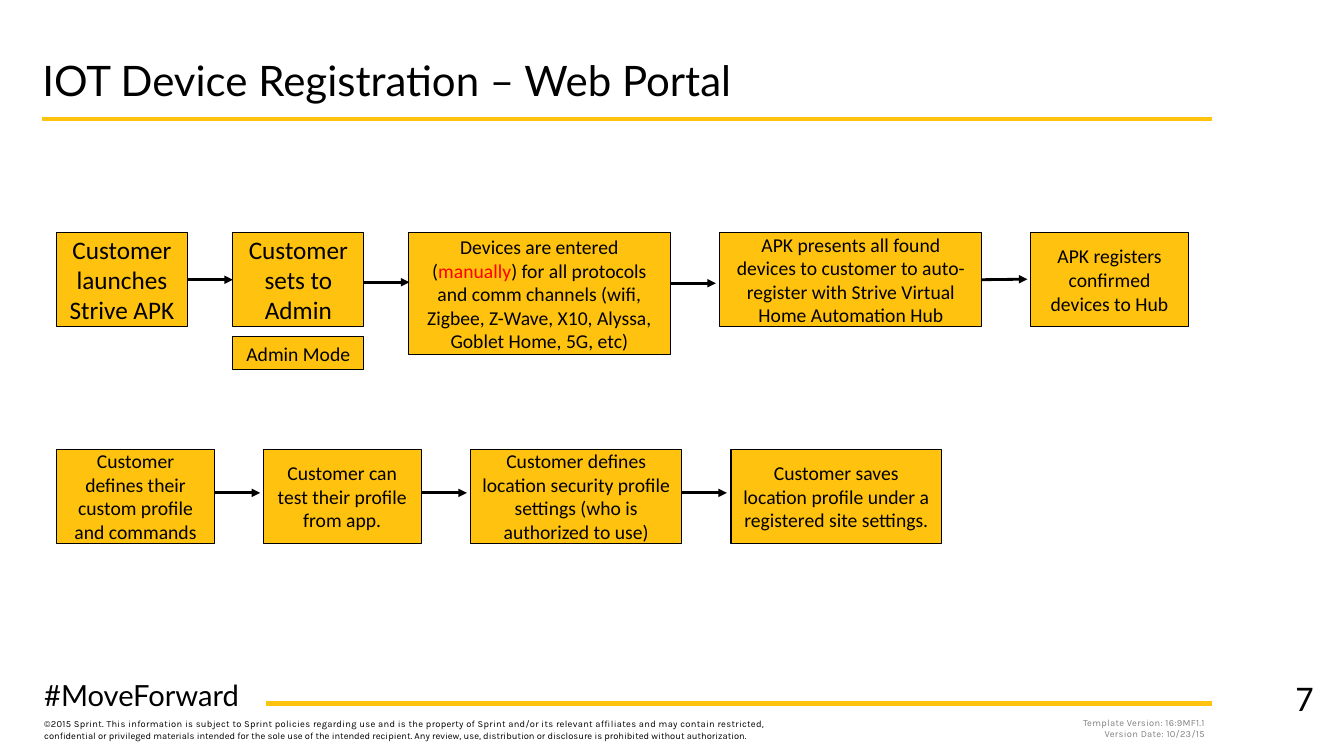
import pptx
import pptx.util
import pptx.dml.color
import pptx.enum.shapes
import pptx.enum.text
import pptx.oxml
import pptx.oxml.ns

PX = 9144
COLORS = {"gold": "FFC20E", "black": "000000", "red": "FF0000", "gray": "808080"}
ALIGN = pptx.enum.text.PP_ALIGN
ANCHOR = pptx.enum.text.MSO_ANCHOR
RECT = pptx.enum.shapes.MSO_SHAPE.RECTANGLE
STRAIGHT = pptx.enum.shapes.MSO_CONNECTOR.STRAIGHT
LEFT_SIDE, RIGHT_SIDE = 1, 3
ARROW_LENGTH = 45


def rgb(name):
    """Return the named palette colour."""
    return pptx.dml.color.RGBColor.from_string(COLORS[name])


def write(tf, paragraphs, size, font, align=ALIGN.LEFT, anchor=ANCHOR.TOP, margins=(10, 5)):
    """Fill a text frame with paragraphs of (text, colour, spacing) runs."""
    tf.word_wrap = True
    tf.vertical_anchor = anchor
    tf.margin_left = tf.margin_right = margins[0] * PX
    tf.margin_top = tf.margin_bottom = margins[1] * PX
    for i, runs in enumerate(paragraphs):
        p = tf.add_paragraph() if i else tf.paragraphs[0]
        p.alignment = align
        for text, color, spacing in runs:
            r = p.add_run()
            r.text = text
            r.font.size = pptx.util.Pt(size)
            r.font.name = font
            r.font.color.rgb = rgb(color)
            if spacing:
                r.font._element.set("spc", str(spacing))


def add_text(slide, box, paragraphs, size, font, **layout):
    """Add a text box at the given px box."""
    sp = slide.shapes.add_textbox(*(v * PX for v in box))
    write(sp.text_frame, paragraphs, size, font, **layout)


def add_line(slide, start, end, color, width, arrow=False):
    """Add a straight line, with an arrowhead at its end if asked."""
    cxn = slide.shapes.add_connector(STRAIGHT, *(v * PX for v in start + end))
    cxn.line.color.rgb = rgb(color)
    cxn.line.width = pptx.util.Pt(width)
    if arrow:
        ln = cxn.line._get_or_add_ln()
        pptx.oxml.ns.qn("a:tailEnd")
        ln.append(pptx.oxml.parse_xml(
            '<a:tailEnd xmlns:a="http://schemas.openxmlformats.org/drawingml/2006/main" type="triangle"/>'))
    cxn._element.spPr.append(pptx.oxml.parse_xml(
        '<a:effectLst xmlns:a="http://schemas.openxmlformats.org/drawingml/2006/main"/>'))
    return cxn


def add_step(slide, box, runs, size):
    """Add one gold process box."""
    sp = slide.shapes.add_shape(RECT, *(v * PX for v in box))
    sp.shadow.inherit = False
    sp.fill.solid()
    sp.fill.fore_color.rgb = rgb("gold")
    sp.line.color.rgb = rgb("black")
    sp.line.width = pptx.util.Pt(0.75)
    write(sp.text_frame, [[(text, color, 0) for text, color in runs]], size, "Calibri",
          align=ALIGN.CENTER, anchor=ANCHOR.MIDDLE)
    return sp


def add_header(slide, box, title):
    """Place the title above its gold rule."""
    x, y, w, h = box
    add_text(slide, (x, y, w, h - 14), [[(title, "black", 0)]], 30, "Lato",
             anchor=ANCHOR.BOTTOM, margins=(0, 0))
    add_line(slide, (x, y + h), (x + w, y + h), "gold", 3)


def add_flow(slide, box, steps):
    """Place a row of steps, each with the arrow that leaves it."""
    left, top, _, height = box
    shapes = []
    for x, w, extra, size, runs, _, _ in steps:
        shapes.append(add_step(slide, (left + x, top, w, height + extra), runs, size))
    for i, (x, w, _, _, _, arrow_y, joins) in enumerate(steps[:-1]):
        start = (left + x + w, top + arrow_y)
        cxn = add_line(slide, start, (start[0] + ARROW_LENGTH, start[1]), "black", 2, arrow=True)
        if "begin" in joins:
            cxn.begin_connect(shapes[i], RIGHT_SIDE)
        if "end" in joins:
            cxn.end_connect(shapes[i + 1], LEFT_SIDE)


def add_footer(slide, box):
    """Place the hashtag, rule, legal text, version and slide number."""
    x, y, w, h = box
    add_line(slide, (x + 230, y + 31), (x + 1168, y + 31), "gold", 3)
    add_text(slide, (x, y + 41, 740, 33), [[
        ("©2015 Sprint. This information is subject to Sprint policies regarding use and is the property "
         "of Sprint and/or its relevant affiliates and may contain restricted, ", "black", 20),
        ("confidential or privileged materials intended for the sole use of the intended recipient. "
         "Any review, use, distribution or disclosure is prohibited without authorization.", "black", 0),
    ]], 6.7, "Karla")
    add_text(slide, (x, y, 250, 45), [[("#MoveForward", "black", 0)]], 20.8, "Lato")
    add_text(slide, (x + w - 115, y, 115, 50), [[("7", "black", 0)]], 25.8, "Calibri",
             align=ALIGN.RIGHT, margins=(7, 3))
    version = ["Template Version: 16:9MF1.1", "Version Date: 10/23/15"]
    add_text(slide, (x + 1013, y + 41, 154, 29), [[(text, "gray", 20)] for text in version],
             6.7, "Karla", align=ALIGN.RIGHT, margins=(6, 3))


REGISTRATION = [
    (0, 130, 0, 18, [("Customer launches Strive APK", "black")], 48, ("begin", "end")),
    (175, 130, 0, 18, [("Customer sets to Admin", "black")], 49, ()),
    (349, 260, 28, 14, [("Devices are entered (", "black"), ("manually", "red"),
                        (") for all protocols and comm channels (wifi, Zigbee, Z-Wave, X10, Alyssa, "
                         "Goblet Home, 5G, etc)", "black")], 50, ()),
    (658, 260, 0, 14, [("APK presents all found devices to customer to auto-register with Strive Virtual "
                        "Home Automation Hub", "black")], 46, ("begin",)),
    (966, 157, 0, 14, [("APK registers confirmed devices to Hub", "black")], 0, ()),
]
PROFILE = [
    (0, 157, 0, 14, [("Customer defines their custom profile and commands", "black")], 43, ()),
    (205, 157, 0, 14, [("Customer can test their profile from app.", "black")], 43, ()),
    (411, 209, 0, 14, [("Customer defines location security profile settings (who is authorized to use)",
                        "black")], 43, ()),
    (669, 209, 0, 14, [("Customer saves location profile under a registered site settings.", "black")], 0, ()),
]


def main():
    """Build and save the slide."""
    prs = pptx.Presentation()
    prs.slide_width, prs.slide_height = 1333 * PX, 750 * PX
    slide = prs.slides.add_slide(prs.slide_layouts[6])
    add_footer(slide, (34, 667, 1276, 74))
    add_header(slide, (42, 27, 1160, 91), "IOT Device Registration – Web Portal")
    add_step(slide, (231, 334, 130, 33), [("Admin Mode", "black")], 14)
    add_flow(slide, (56, 231, 1123, 93), REGISTRATION)
    add_flow(slide, (56, 446, 878, 93), PROFILE)
    prs.save("out.pptx")


if __name__ == "__main__":
    main()
